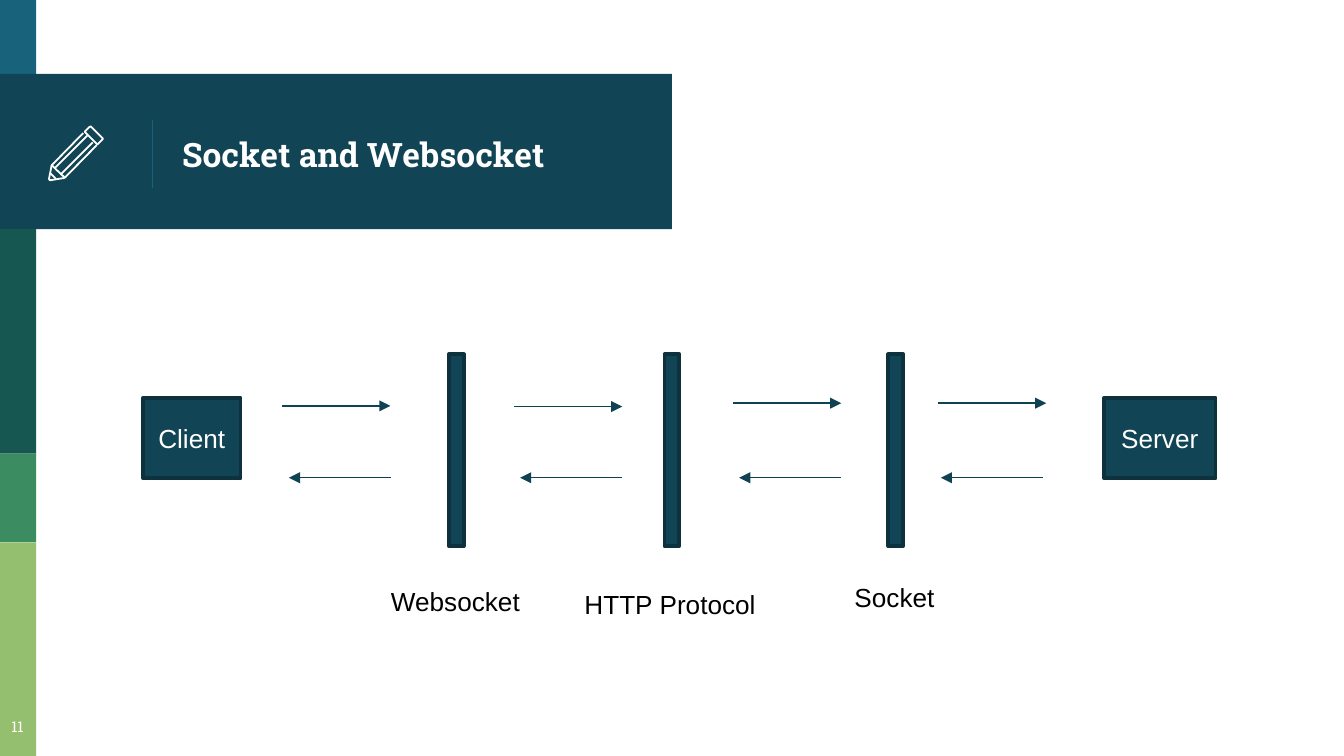
"""Build the slide that shows how a client reaches a server by websocket and socket."""
from lxml import etree
from pptx import Presentation
from pptx.dml.color import RGBColor
from pptx.enum.shapes import MSO_CONNECTOR, MSO_SHAPE
from pptx.enum.text import MSO_ANCHOR, MSO_AUTO_SIZE, PP_ALIGN
from pptx.oxml.ns import qn
from pptx.util import Emu, Pt

RECTANGLE = MSO_SHAPE.RECTANGLE
STRAIGHT = MSO_CONNECTOR.STRAIGHT
LEFT, CENTER = PP_ALIGN.LEFT, PP_ALIGN.CENTER
TOP, MIDDLE = MSO_ANCHOR.TOP, MSO_ANCHOR.MIDDLE
NO_AUTOSIZE = MSO_AUTO_SIZE.NONE

EMU_PER_PX = 4572
SLIDE_SIZE = (2000, 1125)
NAVY, NAVY_EDGE, ARROW_COLOR = "114454", "0D323E", "0F4354"
BLUE, WHITE, BLACK = "18637B", "FFFFFF", "000000"
HEADING_FONT, BODY_FONT = "Roboto Slab", "Arial"

TITLE = ("Socket and Websocket", (251, 117, 702, 224))
PAGE_NUMBER = ("11", (-12, 1055, 76, 70))
BANDS = [
    ((0, 0, 54, 116), BLUE),
    ((0, 110, 1000, 231), NAVY),
    ((0, 341, 54, 334), "165751"),
    ((0, 675, 54, 132), "3B8D61"),
    ((0, 807, 54, 318), "94BF6E"),
]
TITLE_RULE = ((227, 178), (227, 280))
PENCIL_STROKES = [
    ([(153, 206), (137, 190), (135, 188), (133, 189), (126, 196), (145, 215), (152, 208), (153, 207)], True),
    ([(138, 212), (90, 260)], False),
    ([(124, 198), (77, 246), (73, 266), (74, 268), (76, 268), (95, 265), (97, 264), (144, 216)], False),
    ([(82, 250), (130, 202)], False),
    ([(83, 266), (75, 258)], False),
    ([(77, 246), (96, 264)], False),
]
ENDPOINTS = [("Client", 213, 145), ("Server", 1643, 166)]
ENDPOINT_TOP, ENDPOINT_HEIGHT = 592, 120
BAR_LEFTS = [668, 989, 1322]
BAR_TOP, BAR_WIDTH, BAR_HEIGHT = 527, 22, 286
LABELS = [
    ("Websocket", (562, 862, 234, 68)),
    ("HTTP Protocol", (850, 866, 298, 68)),
    ("Socket", (1252, 856, 160, 68)),
]
REQUESTS = [(420, 604), (765, 605), (1091, 600), (1396, 600)]
REQUEST_LENGTH = 161
REPLY_STARTS = [582, 926, 1252, 1552]
REPLY_LENGTH, REPLY_Y = 152, 711


def px(*values):
    return [Emu(value * EMU_PER_PX) for value in values]


def color(value):
    return RGBColor.from_string(value)


def set_line(line, value, width):
    line.color.rgb = color(value)
    line.width = Pt(width)


def write(shape, text, size, font, value, align=LEFT, anchor=TOP, wrap=True, bold=False):
    frame = shape.text_frame
    frame.text = text
    frame.word_wrap = wrap
    frame.vertical_anchor = anchor
    paragraph = frame.paragraphs[0]
    paragraph.alignment = align
    run_font = paragraph.runs[0].font
    run_font.size, run_font.name, run_font.bold = Pt(size), font, bold
    run_font.color.rgb = color(value)
    for properties in shape.element.iter(qn("a:rPr")):
        for script in ("a:ea", "a:cs"):
            etree.SubElement(properties, qn(script), typeface=font)
    return frame


def add_rectangle(shapes, box, fill, edge=None):
    shape = shapes.add_shape(RECTANGLE, *px(*box))
    shape.shadow.inherit = False
    shape.fill.solid()
    shape.fill.fore_color.rgb = color(fill)
    if edge:
        set_line(shape.line, edge, 2)
    else:
        shape.line.fill.background()
    return shape


def add_line(shapes, start, end, value, arrow=False):
    connector = shapes.add_connector(STRAIGHT, *px(*start, *end))
    set_line(connector.line, value, 0.75)
    properties = connector.element.spPr
    if arrow:
        etree.SubElement(properties.find(qn("a:ln")), qn("a:tailEnd"), type="triangle")
    etree.SubElement(properties, qn("a:effectLst"))


def add_pencil(shapes):
    group = shapes.add_group_shape()
    for points, closed in PENCIL_STROKES:
        builder = group.shapes.build_freeform(*points[0], scale=EMU_PER_PX)
        builder.add_line_segments(points[1:], close=closed)
        stroke = builder.convert_to_shape()
        stroke.shadow.inherit = False
        stroke.fill.background()
        set_line(stroke.line, WHITE, 0.96)


def set_margins(frame):
    margin = px(20)[0]
    frame.margin_left = frame.margin_right = margin
    frame.margin_top = frame.margin_bottom = margin


def add_heading(shapes):
    for box, fill in BANDS:
        add_rectangle(shapes, box, fill)
    add_line(shapes, *TITLE_RULE, BLUE)

    text, box = TITLE
    title = shapes.title
    title.left, title.top, title.width, title.height = px(*box)
    frame = write(title, text, 18, HEADING_FONT, WHITE, anchor=MIDDLE, bold=True)
    frame.auto_size = NO_AUTOSIZE
    set_margins(frame)
    shapes.element.append(title.element)

    add_pencil(shapes)
    text, box = PAGE_NUMBER
    number = shapes.add_textbox(*px(*box))
    set_margins(write(number, text, 8, HEADING_FONT, WHITE, CENTER))


def add_diagram(shapes):
    for name, left, width in ENDPOINTS:
        box = (left, ENDPOINT_TOP, width, ENDPOINT_HEIGHT)
        endpoint = add_rectangle(shapes, box, NAVY, NAVY_EDGE)
        write(endpoint, name, 14, BODY_FONT, WHITE, CENTER, MIDDLE)
    for left in BAR_LEFTS:
        add_rectangle(shapes, (left, BAR_TOP, BAR_WIDTH, BAR_HEIGHT), NAVY, NAVY_EDGE)
    for x, y in REQUESTS:
        add_line(shapes, (x, y), (x + REQUEST_LENGTH, y), ARROW_COLOR, arrow=True)
    for x in REPLY_STARTS:
        add_line(shapes, (x, REPLY_Y), (x - REPLY_LENGTH, REPLY_Y), ARROW_COLOR, arrow=True)
    for text, box in LABELS:
        write(shapes.add_textbox(*px(*box)), text, 14, BODY_FONT, BLACK, wrap=False)


def main():
    presentation = Presentation()
    presentation.slide_width, presentation.slide_height = px(*SLIDE_SIZE)
    slide = presentation.slides.add_slide(presentation.slide_layouts[5])
    add_heading(slide.shapes)
    add_diagram(slide.shapes)
    presentation.save("out.pptx")


if __name__ == "__main__":
    main()
